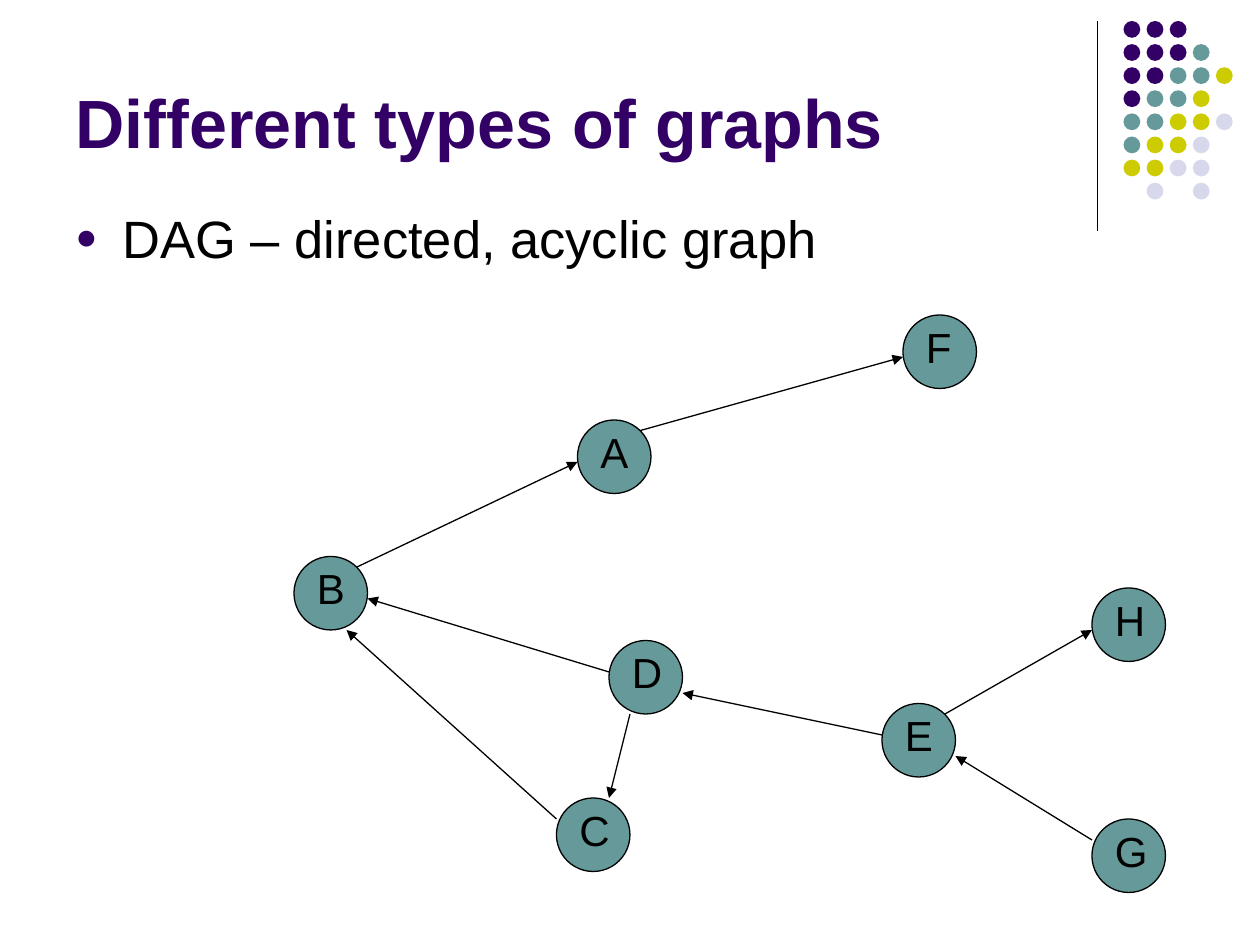
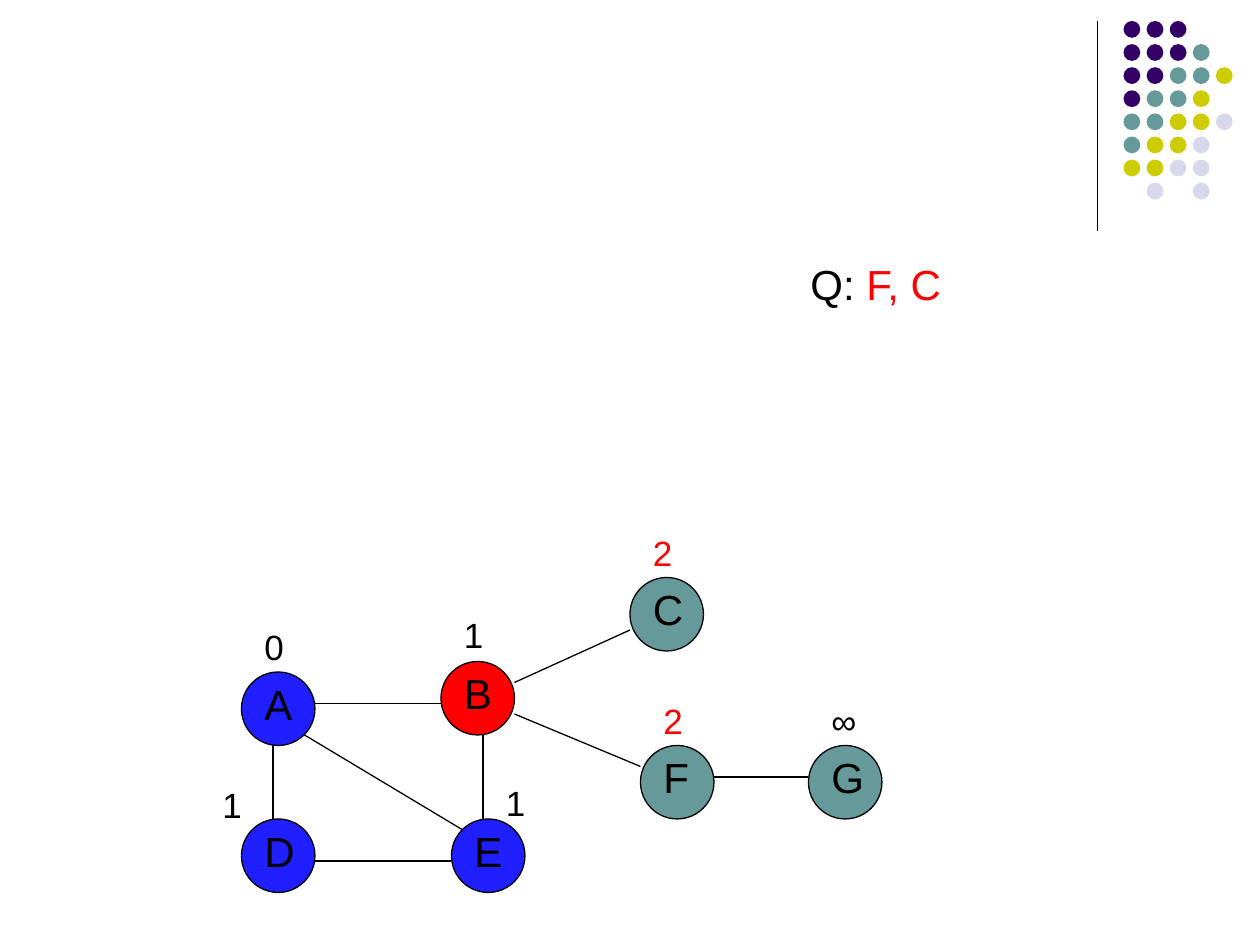
import lxml.etree
import pptx
import pptx.dml.color
import pptx.enum.shapes
import pptx.enum.text
import pptx.oxml.ns
import pptx.util

PX = 7620  # EMU per px: 120 px to the inch
FONT = "Arial"
COLORS = {
    "purple": "330066", "teal": "669999", "olive": "CCCC00", "lavender": "D8D8EC",
    "black": "000000", "red": "FF0000", "blue": "1F1FFF",
}
DOT_COLORS = {"P": "purple", "T": "teal", "Y": "olive", "L": "lavender"}
DOT_ROWS = ["PPP", "PPPT", "PPTTY", "PTTY", "TTYYL", "TYYL", "YYLL", " L L"]
NODE_SIZE = 70


def px(*lengths):
    return [pptx.util.Emu(length * PX) for length in lengths]


def rgb(color):
    return pptx.dml.color.RGBColor.from_string(COLORS[color])


def add_xml(parent, tag, **attributes):
    return lxml.etree.SubElement(parent, pptx.oxml.ns.qn(tag), attributes)


class Deck:
    """Holds the shared style and the slide being built."""

    def __init__(self):
        self.prs = pptx.Presentation()
        self.prs.slide_width, self.prs.slide_height = px(1200, 900)
        self.slide = None

    def new_slide(self, title=None):
        self.slide = self.prs.slides.add_slide(self.prs.slide_layouts[5 if title else 6])
        self.corner()
        if title:
            self.title(title)

    def corner(self):
        """Vertical rule and dot pattern at the top right."""
        self.line((1045, 20), (1045, 220))
        dots = self.slide.shapes.add_group_shape()
        for row, pattern in enumerate(DOT_ROWS):
            for column, key in enumerate(pattern):
                if key in DOT_COLORS:
                    self.circle(dots.shapes, 1070 + 22 * column, 20 + 22 * row, 16, DOT_COLORS[key])

    def title(self, text):
        title = self.slide.shapes.title
        title.left, title.top, title.width, title.height = px(60, 16, 990, 144)
        frame = title.text_frame
        frame.text = text
        frame.word_wrap = True
        frame.auto_size = pptx.enum.text.MSO_AUTO_SIZE.NONE
        frame.vertical_anchor = pptx.enum.text.MSO_ANCHOR.BOTTOM
        frame.paragraphs[0].alignment = pptx.enum.text.PP_ALIGN.LEFT
        self.style(frame.paragraphs[0].runs[0], 39, "purple", bold=True)

    def style(self, run, size, color, bold=False):
        run.font.name, run.font.size, run.font.bold = FONT, pptx.util.Pt(size), bold
        run.font.color.rgb = rgb(color)

    def circle(self, shapes, left, top, size, fill, outline=None):
        circle = shapes.add_shape(pptx.enum.shapes.MSO_SHAPE.OVAL, *px(left, top, size, size))
        circle.shadow.inherit = False
        circle.fill.solid()
        circle.fill.fore_color.rgb = rgb(fill)
        if outline:
            circle.line.color.rgb = rgb(outline)
            circle.line.width = pptx.util.Pt(0.75)
        else:
            circle.line.fill.background()

    def text(self, box, spans, size, space_before=50, shapes=None):
        """Add a one-paragraph text box from (text, color) spans."""
        frame = (shapes or self.slide.shapes).add_textbox(*px(*box)).text_frame
        frame.word_wrap = True
        frame.auto_size = pptx.enum.text.MSO_AUTO_SIZE.SHAPE_TO_FIT_TEXT
        paragraph = frame.paragraphs[0]
        for words, color in spans:
            run = paragraph.add_run()
            run.text = words
            self.style(run, size, color)
        spacing = add_xml(paragraph._p.get_or_add_pPr(), "a:spcBef")
        add_xml(spacing, "a:spcPct", val=str(space_before * 1000))
        return paragraph

    def bullet(self, box, words):
        properties = self.text(box, [(words, "black")], 30, 20)._p.get_or_add_pPr()
        properties.set("marL", str(45 * PX))
        properties.set("indent", str(-45 * PX))
        add_xml(add_xml(properties, "a:buClr"), "a:srgbClr", val=COLORS["purple"])
        add_xml(properties, "a:buSzPct", val="70000")
        add_xml(properties, "a:buFont", typeface=FONT)
        add_xml(properties, "a:buChar", char="●")

    def node(self, letter, left, top, fill="teal"):
        group = self.slide.shapes.add_group_shape()
        self.circle(group.shapes, left, top, NODE_SIZE, fill, "black")
        self.text((left + 10, top, 60, 60), [(letter, "black")], 24, shapes=group.shapes)

    def line(self, start, end, arrow=False):
        line = self.slide.shapes.add_connector(
            pptx.enum.shapes.MSO_CONNECTOR.STRAIGHT, *px(*start, *end))
        line.line.color.rgb = rgb("black")
        line.line.width = pptx.util.Pt(0.75)
        properties = line._element.spPr
        if arrow:
            add_xml(properties.find(pptx.oxml.ns.qn("a:ln")), "a:tailEnd", type="triangle")
        add_xml(properties, "a:effectLst")


def directed_graph(deck):
    deck.new_slide("Different types of graphs")
    deck.bullet((60, 190, 1080, 130), "DAG – directed, acyclic graph")

    # Nodes
    nodes = {"A": (550, 400), "B": (280, 530), "C": (530, 760), "E": (840, 670),
             "D": (580, 610), "F": (860, 300), "G": (1040, 780), "H": (1040, 560)}
    for letter, corner in nodes.items():
        deck.node(letter, *corner)

    # Directed edges
    edges = [
        ((340, 540), (550, 440)),   # B to A
        ((610, 410), (860, 340)),   # A to F
        ((580, 640), (350, 570)),   # D to B
        ((530, 780), (330, 600)),   # C to B
        ((600, 680), (580, 760)),   # D to C
        ((840, 700), (650, 660)),   # E to D
        ((900, 680), (1040, 600)),  # E to H
        ((1040, 800), (910, 720)),  # G to E
    ]
    for start, end in edges:
        deck.line(start, end, arrow=True)


def breadth_first_search(deck):
    deck.new_slide()

    # Nodes: blue is done, red is current, teal is still to visit
    nodes = {"B": (420, 630, "red"), "D": (230, 780, "blue"), "E": (430, 780, "blue"),
             "F": (610, 710, "teal"), "A": (230, 640, "blue"), "C": (600, 550, "teal"),
             "G": (770, 710, "teal")}
    for letter, place in nodes.items():
        deck.node(letter, *place)

    # Edges
    edges = [
        ((300, 670), (420, 670)),  # A, B
        ((260, 710), (260, 780)),  # A, D
        ((300, 820), (430, 820)),  # D, E
        ((460, 780), (460, 700)),  # E, B
        ((290, 700), (440, 790)),  # A, E
        ((490, 650), (600, 600)),  # B, C
        ((490, 680), (610, 730)),  # B, F
        ((680, 740), (770, 740)),  # F, G
    ]
    for start, end in edges:
        deck.line(start, end)

    # Distances from A
    distances = [("0", 240, 590, "black"), ("1", 430, 578, "black"), ("2", 610, 500, "red"),
                 ("2", 620, 660, "red"), ("∞", 780, 660, "black"), ("1", 470, 738, "black"),
                 ("1", 200, 740, "black")]
    for distance, left, top, color in distances:
        deck.text((left, top, 90, 52), [(distance, color)], 20)

    # Queue
    deck.text((760, 240, 280, 60), [("Q: ", "black"), ("F, C", "red")], 24)


def main():
    deck = Deck()
    directed_graph(deck)
    breadth_first_search(deck)
    deck.prs.save("out.pptx")


if __name__ == "__main__":
    main()
